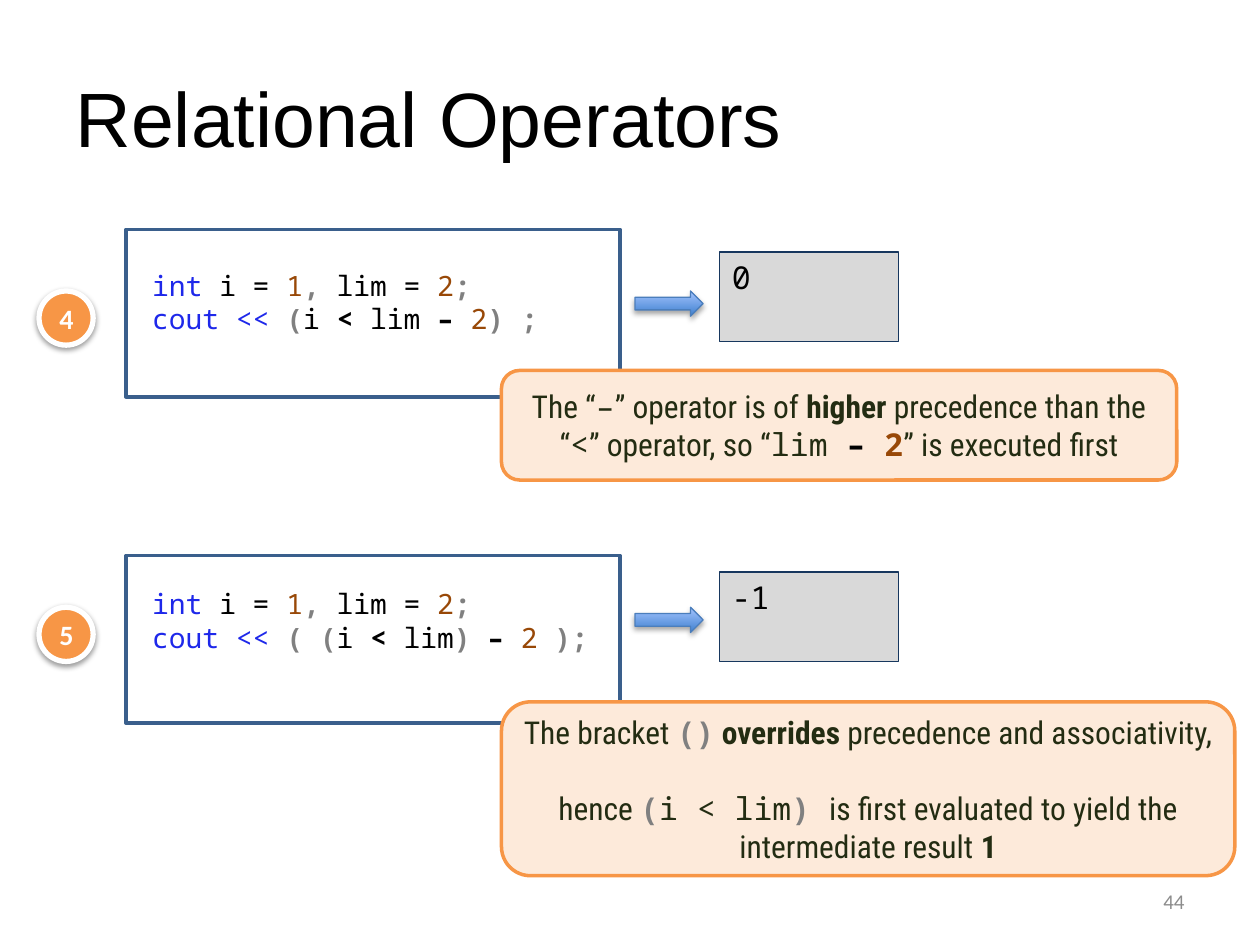
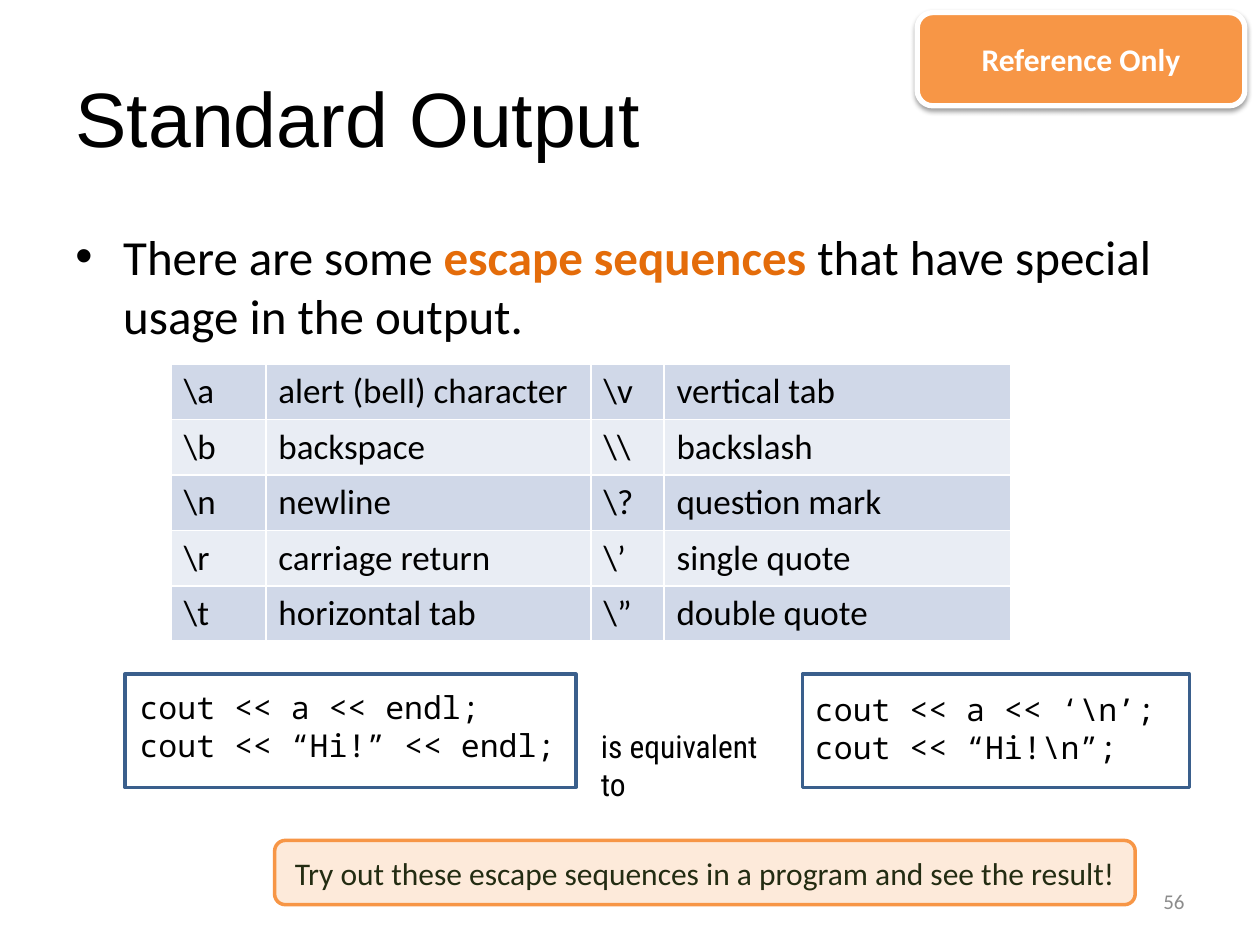
from dataclasses import dataclass

from lxml import etree
from pptx import Presentation
from pptx.dml.color import RGBColor
from pptx.enum.shapes import MSO_SHAPE as Shape
from pptx.enum.text import MSO_ANCHOR as Anchor, PP_ALIGN as Align
from pptx.oxml.ns import qn
from pptx.util import Inches, Pt


class Theme:
    black = "000000"
    white = "FFFFFF"
    keyword = "1E28EA"
    number = "984807"
    symbol = "808080"
    page = "8C8C8C"
    frame = "3A5F8C"
    output_fill = "D9D9D9"
    output_line = "17375E"
    orange = "F79646"
    emphasis = "E46C0A"
    note_fill = "FDEADA"
    note_text = "232C12"
    arrow_line = "4B7EBC"
    arrow_stops = ("3F80CE", "A4C4FF")
    bands = ("D0D8E8", "E9EDF4")
    heading = "Arial"
    body = "Calibri"
    mono = "Noto Sans Mono"
    condensed = "Roboto Condensed"
    title_size = 44
    body_size = 28
    table_size = 20
    text_size = 18
    code_size = 16
    page_size = 12


KEY = dict(color=Theme.keyword)
NUM = dict(color=Theme.number)
SYM = dict(color=Theme.symbol, bold=True)
BOLD = dict(bold=True)
MONO = dict(font=Theme.mono)
PLAIN = {}
DECLARATION = [("int ", KEY), ("i = ", PLAIN), ("1", NUM), (", ", SYM),
               ("lim = ", PLAIN), ("2", NUM), (";", SYM)]


@dataclass
class Example:
    top: float
    number: str
    statement: list
    result: str
    note: list
    note_size: tuple
    code_dy: float
    output_dy: float
    badge_dy: float
    note_dy: float


def rgb(value):
    return RGBColor.from_string(value)


def write(tf, paragraphs, align=Align.LEFT, anchor=Anchor.TOP, wrap=True, gap=0, **base):
    tf.word_wrap = wrap
    tf.vertical_anchor = anchor
    if isinstance(paragraphs, str):
        paragraphs = [paragraphs]
    for i, runs in enumerate(paragraphs):
        p = tf.add_paragraph() if i else tf.paragraphs[0]
        p.alignment = align
        if i and gap:
            p.space_before = Pt(gap)
        for text, own in [(runs, PLAIN)] if isinstance(runs, str) else runs:
            fmt = dict(font=Theme.body, size=Theme.text_size, color=Theme.black, bold=False)
            fmt.update(base)
            fmt.update(own)
            r = p.add_run()
            r.text = text
            r.font.name = fmt["font"]
            r.font.size = Pt(fmt["size"])
            r.font.bold = fmt["bold"]
            r.font.color.rgb = rgb(fmt["color"])


def add_text(slide, box, paragraphs, **fmt):
    sp = slide.shapes.add_textbox(*map(Inches, box))
    write(sp.text_frame, paragraphs, **fmt)
    return sp


def add_box(slide, kind, box, line, width, fill=None):
    sp = slide.shapes.add_shape(kind, *map(Inches, box))
    sp.shadow.inherit = False
    if fill:
        sp.fill.solid()
        sp.fill.fore_color.rgb = rgb(fill)
    else:
        sp.fill.background()
    sp.line.color.rgb = rgb(line)
    sp.line.width = Pt(width)
    return sp


def add_shadow(sp, alpha, distance):
    effects = sp._element.spPr.find(qn("a:effectLst"))
    shadow = etree.SubElement(effects, qn("a:outerShdw"), blurRad=str(Pt(3.1)),
                              dist=str(Pt(distance)), dir="5400000", rotWithShape="0")
    color = etree.SubElement(shadow, qn("a:srgbClr"), val=Theme.black)
    etree.SubElement(color, qn("a:alpha"), val=str(alpha * 1000))


def add_badge(slide, kind, box, text, size):
    sp = add_box(slide, kind, box, Theme.white, 3, Theme.orange)
    add_shadow(sp, 38, 1.6)
    write(sp.text_frame, text, align=Align.CENTER, anchor=Anchor.MIDDLE,
          size=size, color=Theme.white, bold=True)


def add_note(slide, box, paragraphs, **fmt):
    sp = add_box(slide, Shape.ROUNDED_RECTANGLE, box, Theme.orange, 2, Theme.note_fill)
    write(sp.text_frame, paragraphs, align=Align.CENTER, anchor=Anchor.MIDDLE,
          color=Theme.note_text, **fmt)


def add_arrow(slide, box):
    sp = add_box(slide, Shape.RIGHT_ARROW, box, Theme.arrow_line, 0.75)
    sp.fill.gradient()
    sp.fill.gradient_angle = 90
    for stop, color, position in zip(sp.fill.gradient_stops, Theme.arrow_stops, (0, 1)):
        stop.color.rgb = rgb(color)
        stop.position = position
    add_shadow(sp, 35, 1.8)


def add_code(slide, box, lines, dx, dy, size):
    left, top, width, height = box
    add_box(slide, Shape.RECTANGLE, box, Theme.frame, 2)
    add_text(slide, (left + dx, top + dy, width - dx, height - dy), lines,
             wrap=False, font=Theme.mono, size=size)


def add_titled_slide(prs, title, page):
    slide = prs.slides.add_slide(prs.slide_layouts[5])
    sp = slide.shapes.title
    sp.left, sp.top, sp.width, sp.height = map(Inches, (0.5, 0.3, 9, 1.25))
    write(sp.text_frame, title, anchor=Anchor.MIDDLE,
          font=Theme.heading, size=Theme.title_size)
    add_text(slide, (7.17, 6.95, 2.33, 0.4), page, align=Align.RIGHT,
             anchor=Anchor.MIDDLE, size=Theme.page_size, color=Theme.page)
    return slide


def add_example(slide, left, ex):
    add_code(slide, (left, ex.top, 3.92, 1.33), [DECLARATION, ex.statement],
             0.11, ex.code_dy, Theme.code_size)
    output = add_box(slide, Shape.RECTANGLE, (left + 4.71, ex.top + ex.output_dy, 1.42, 0.71),
                     Theme.output_line, 0.75, Theme.output_fill)
    write(output.text_frame, ex.result, font=Theme.mono)
    badge_top = ex.top + ex.badge_dy
    add_badge(slide, Shape.OVAL, (left - 0.69, badge_top, 0.43, 0.43),
              ex.number, Theme.code_size)
    add_arrow(slide, (left + 4.04, badge_top, 0.54, 0.2))
    add_note(slide, (left + 2.98, ex.top + ex.note_dy, *ex.note_size), ex.note,
             font=Theme.condensed, gap=22)


def add_bullet(slide, box, runs):
    sp = add_text(slide, box, [runs], size=Theme.body_size)
    pPr = sp.text_frame.paragraphs[0]._p.get_or_add_pPr()
    pPr.set("marL", str(Inches(0.38)))
    pPr.set("indent", str(Inches(-0.38)))
    etree.SubElement(pPr, qn("a:buFont"), typeface=Theme.heading)
    etree.SubElement(pPr, qn("a:buChar"), char="•")


def set_borders(cell):
    tcPr = cell._tc.get_or_add_tcPr()
    for i, side in enumerate(("lnL", "lnR", "lnT", "lnB")):
        ln = etree.Element(qn("a:" + side), w=str(Pt(1)))
        fill = etree.SubElement(ln, qn("a:solidFill"))
        etree.SubElement(fill, qn("a:srgbClr"), val=Theme.white)
        tcPr.insert(i, ln)


def add_escape_table(slide, left, top, widths, rows):
    height = 0.44
    frame = slide.shapes.add_table(len(rows), len(widths), Inches(left), Inches(top),
                                   Inches(sum(widths)), Inches(height * len(rows)))
    table = frame.table
    table.first_row = False
    for column, width in zip(table.columns, widths):
        column.width = Inches(width)
    for i, row in enumerate(rows):
        for j, text in enumerate(row):
            cell = table.cell(i, j)
            cell.fill.solid()
            cell.fill.fore_color.rgb = rgb(Theme.bands[i % 2])
            set_borders(cell)
            write(cell.text_frame, text, size=Theme.table_size)


def build_relational(prs):
    slide = add_titled_slide(prs, "Relational Operators", "44")
    precedence = Example(
        top=1.82, number="4", result="0", note_size=(5.36, 0.87),
        code_dy=0.26, output_dy=0.18, badge_dy=0.49, note_dy=1.12,
        statement=[("cout << ", KEY), ("(", SYM), ("i ", PLAIN), ("< ", BOLD),
                   ("lim ", PLAIN), ("– ", BOLD), ("2", NUM), (") ;", SYM)],
        note=[[("The “", PLAIN), ("–", MONO), ("” operator is of ", PLAIN),
               ("higher", BOLD), (" precedence than the “", PLAIN), ("<", MONO),
               ("” operator, so “", PLAIN), ("lim ", MONO),
               ("– ", dict(MONO, color=Theme.black, bold=True)),
               ("2", dict(MONO, bold=True, **NUM)), ("” is executed first", PLAIN)]])
    brackets = Example(
        top=4.41, number="5", result="-1", note_size=(5.82, 1.38),
        code_dy=0.2, output_dy=0.13, badge_dy=0.41, note_dy=1.16,
        statement=[("cout << ", KEY), ("( (", SYM), ("i ", PLAIN), ("< ", BOLD),
                   ("lim", PLAIN), (") ", SYM), ("– ", BOLD), ("2 ", NUM), (");", SYM)],
        note=[[("The bracket ", PLAIN), ("()", {**MONO, **SYM}), (" overrides", BOLD),
               (" precedence and associativity,", PLAIN)],
              [("hence ", PLAIN), ("(", {**MONO, **SYM}), ("i < lim", MONO),
               (") ", {**MONO, **SYM}),
               ("is first evaluated to yield the intermediate result ", PLAIN),
               ("1", BOLD)]])
    for ex in (precedence, brackets):
        add_example(slide, 1, ex)


def build_output(prs):
    slide = add_titled_slide(prs, "Standard Output", "56")
    add_bullet(slide, (0.5, 1.75, 9, 1.1),
               [("There are some ", PLAIN),
                ("escape sequences ", dict(color=Theme.emphasis, bold=True)),
                ("that have special usage in the output.", PLAIN)])
    add_escape_table(slide, 1.36, 2.89, (0.75, 2.58, 0.58, 2.75), [
        (r"\a", "alert (bell) character", r"\v", "vertical tab"),
        (r"\b", "backspace", r"\\", "backslash"),
        (r"\n", "newline", r"\?", "question mark"),
        (r"\r", "carriage return", r"\’", "single quote"),
        (r"\t", "horizontal tab", r"\”", "double quote")])
    add_code(slide, (0.99, 5.35, 3.58, 0.9),
             ["cout << a << endl;", "cout << “Hi!” << endl;"], 0.02, 0.06, Theme.text_size)
    add_text(slide, (4.67, 5.72, 1.55, 0.4), "is equivalent to", font=Theme.condensed)
    add_code(slide, (6.37, 5.35, 3.07, 0.9),
             [r"cout << a << ‘\n’;", r"cout << “Hi!\n”;"], 0, 0.08, Theme.text_size)
    add_note(slide, (2.18, 6.67, 6.83, 0.51),
             "Try out these escape sequences in a program and see the result!")
    add_badge(slide, Shape.ROUNDED_RECTANGLE, (7.28, 0.1, 2.6, 0.74),
              "Reference Only", Theme.text_size)


def main():
    prs = Presentation()
    prs.slide_width, prs.slide_height = Inches(10), Inches(7.5)
    build_relational(prs)
    build_output(prs)
    prs.save("out.pptx")


if __name__ == "__main__":
    main()
